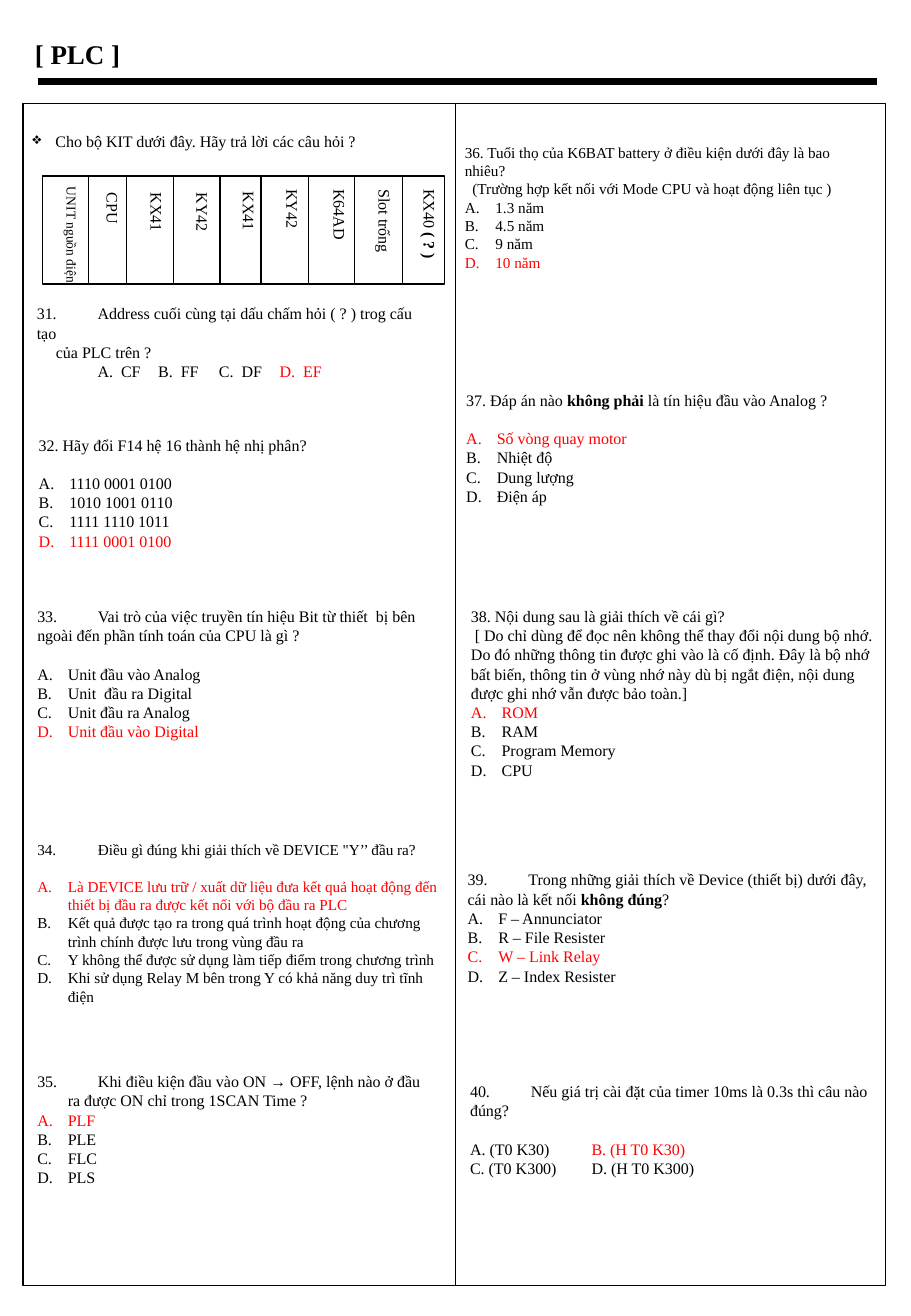
from lxml.etree import SubElement
from pptx import Presentation
from pptx.dml.color import RGBColor
from pptx.enum.shapes import MSO_CONNECTOR, MSO_SHAPE
from pptx.enum.text import MSO_AUTO_SIZE
from pptx.oxml.ns import qn
from pptx.util import Cm, Pt

BLACK, RED = "000000", "FF0000"
HANG = 0.64


def rgb(value):
    return RGBColor.from_string(value)


class ExamSheet:
    font = "Times New Roman"

    def __init__(self, slide):
        self.s = slide

    def line(self, x1, y1, x2, y2, width=0.75):
        c = self.s.shapes.add_connector(MSO_CONNECTOR.STRAIGHT, Cm(x1), Cm(y1), Cm(x2), Cm(y2))
        c.line.color.rgb = rgb(BLACK)
        c.line.width = Pt(width)
        SubElement(c._element.spPr, qn("a:effectLst"))

    def frame(self, x, y, w, h):
        sp = self.s.shapes.add_shape(MSO_SHAPE.RECTANGLE, Cm(x), Cm(y), Cm(w), Cm(h))
        sp.shadow.inherit = False
        sp.fill.background()
        sp.line.color.rgb = rgb(BLACK)
        sp.line.width = Pt(0.75)

    def box(self, x, y, w, h, vertical=False):
        tf = self.s.shapes.add_textbox(Cm(x), Cm(y), Cm(w), Cm(h)).text_frame
        tf.word_wrap = True
        if vertical:
            tf._txBody.bodyPr.set("vert", "vert")
        else:
            tf.auto_size = MSO_AUTO_SIZE.SHAPE_TO_FIT_TEXT
        return tf

    def paragraph(self, tf, text, size=9.5, color=BLACK, margin=0, first=0,
                  bullet=None, tabs=(), before=0):
        """Add a paragraph; ** switches bold and || switches red on and off."""
        p = tf.paragraphs[0]
        if p.runs:
            p = tf.add_paragraph()
        pPr = p._p.get_or_add_pPr()
        pPr.set("marL", str(Cm(margin)))
        pPr.set("indent", str(Cm(first)))
        if bullet == "A.":
            SubElement(pPr, qn("a:buAutoNum"), type="alphaUcPeriod")
        elif bullet:
            SubElement(pPr, qn("a:buChar"), char=bullet)
        if tabs:
            tab_list = SubElement(pPr, qn("a:tabLst"))
            for stop in tabs:
                SubElement(tab_list, qn("a:tab"), pos=str(Cm(stop)), algn="l")
        if before:
            p.space_before = Pt(before)
        for i, colored in enumerate(text.split("||")):
            for j, piece in enumerate(colored.split("**")):
                if piece:
                    r = p.add_run()
                    r.text = piece
                    r.font.name = self.font
                    r.font.size = Pt(size)
                    r.font.bold = j % 2 == 1
                    r.font.color.rgb = rgb(RED if i % 2 else color)

    def question(self, place, stem, options, answer, size=9.5, gap=0):
        """stem holds (text, first-line indent) pairs; gap is the space above option A."""
        tf = self.box(*place)
        for text, first in stem:
            self.paragraph(tf, text, size, first=first, tabs=[HANG])
        for letter, option in zip("ABCD", options):
            self.paragraph(tf, option, size, RED if letter == answer else BLACK,
                           HANG, -HANG, "A.", before=gap if letter == "A" else 0)

    def row_question(self, place, stem, rows, tabs, gap=0):
        """A question whose options stand side by side at tab stops."""
        tf = self.box(*place)
        for text, first in stem:
            self.paragraph(tf, text, first=first, tabs=[HANG])
        for i, row in enumerate(rows):
            self.paragraph(tf, row, tabs=tabs, before=0 if i else gap)

    def kit(self, x, y, w, h, dividers, units):
        self.frame(x, y, w, h)
        for divider in dividers:
            self.line(divider, y, divider, y + h)
        unit_width = 1.3
        for name, right, top, height, size in units:
            tf = self.box(right - unit_width, top, unit_width, height, vertical=True)
            self.paragraph(tf, name, size)


def main():
    prs = Presentation()
    prs.slide_width, prs.slide_height = Cm(19.05), Cm(27.51)
    sheet = ExamSheet(prs.slides.add_slide(prs.slide_layouts[6]))

    sheet.line(0.79, 1.7, 18.34, 1.7, 4.5)
    sheet.frame(0.48, 2.16, 9.04, 24.71)
    sheet.frame(9.52, 2.16, 9, 24.71)
    sheet.paragraph(sheet.box(0.48, 0.66, 2.51, 0.94), "**[ PLC ]**", 16)

    sheet.paragraph(sheet.box(0.43, 2.62, 8.69, 0.65),
                    "Cho bộ KIT dưới đây. Hãy trả lời các câu hỏi ?",
                    margin=0.48, first=-0.48, bullet="❖")
    sheet.kit(0.89, 3.68, 8.41, 2.26,
              [1.85, 2.64, 3.63, 4.6, 5.46, 6.45, 7.42, 8.41],
              [("UNIT nguồn điện", 1.8, 3.66, 2.95, 8),
               ("CPU", 2.69, 3.78, 2.2, 9.5),
               ("KX41", 3.61, 3.78, 2.2, 9.5),
               ("KY42", 4.57, 3.78, 2.2, 9.5),
               ("KX41", 5.54, 3.76, 2.2, 9.5),
               ("KY42", 6.45, 3.71, 2.2, 9.5),
               ("K64AD", 7.44, 3.71, 2.2, 9.5),
               ("Slot trống", 8.38, 3.71, 2.2, 9.5),
               ("KX40 **( ? )**", 9.32, 3.71, 2.2, 9.5)])

    sheet.row_question(
        (0.52, 6.23, 8.6, 1.46),
        [("31.\tAddress cuối cùng tại dấu chấm hỏi ( ? ) trog cấu tạo", 0),
         ("của PLC trên ?", 0.4)],
        ["\tA.  CF\tB.  FF\tC.  DF\t||D.  EF||"], [0.66, 2.3, 3.9, 5.56])
    sheet.question(
        (0.56, 8.97, 8.79, 2.69), [("32. Hãy đổi F14 hệ 16 thành hệ nhị phân?", 0)],
        ["1110 0001 0100", "1010 1001 0110", "1111 1110 1011", "1111 0001 0100"], "D", gap=11.4)
    sheet.question(
        (0.53, 12.55, 8.79, 3.51),
        [("33.\tVai trò của việc truyền tín hiệu Bit từ thiết  bị bên ngoài "
          "đến phần tính toán của CPU là gì ?", 0)],
        ["Unit đầu vào Analog", "Unit  đầu ra Digital", "Unit đầu ra Analog",
         "Unit đầu vào Digital"], "D", gap=11.4)
    sheet.question(
        (0.53, 17.45, 9.04, 3.71),
        [("34.\tĐiều gì đúng khi giải thích về DEVICE \"Y’’ đầu ra?", 0)],
        ["Là DEVICE lưu trữ / xuất dữ liệu đưa kết quả hoạt động đến "
         "thiết bị đầu ra được kết nối với bộ đầu ra PLC",
         "Kết quả được tạo ra trong quá trình hoạt động của chương "
         "trình chính được lưu trong vùng đầu ra",
         "Y không thể được sử dụng làm tiếp điểm trong chương trình",
         "Khi sử dụng Relay M bên trong Y có khả năng duy trì tĩnh điện"], "A", 9, 10.8)
    sheet.question(
        (0.53, 22.28, 8.69, 2.69),
        [("35.\tKhi điều kiện đầu vào ON → OFF, lệnh nào ở đầu", 0),
         ("ra được ON chỉ trong 1SCAN Time ?", HANG)],
        ["PLF", "PLE", "FLC", "PLS"], "A")
    sheet.question(
        (9.47, 2.87, 9.04, 2.57),
        [("36. Tuổi thọ của K6BAT battery ở điều kiện dưới đây là bao nhiêu?", 0),
         ("(Trường hợp kết nối với Mode CPU và hoạt động liên tục )", 0.16)],
        ["1.3 năm", "4.5 năm", "9 năm", "10 năm"], "D", 9)
    sheet.question(
        (9.5, 8.03, 9.04, 2.69),
        [("37. Đáp án nào **không phải **là tín hiệu đầu vào Analog ?", 0)],
        ["Số vòng quay motor", "Nhiệt độ", "Dung lượng", "Điện áp"], "A", gap=11.4)
    sheet.question(
        (9.6, 12.55, 8.92, 3.91),
        [("38. Nội dung sau là giải thích về cái gì?", 0),
         ("[ Do chỉ dùng để đọc nên không thể thay đổi nội dung bộ nhớ. "
          "Do đó những thông tin được ghi vào là cố định. Đây là bộ nhớ bất biến, "
          "thông tin ở vùng nhớ này dù bị ngắt điện, nội dung được ghi nhớ "
          "vẫn được bảo toàn.]", 0.08)],
        ["ROM", "RAM", "Program Memory", "CPU"], "A")
    sheet.question(
        (9.53, 18.06, 9.02, 2.69),
        [("39.\tTrong những giải thích về Device (thiết bị) dưới đây, cái nào là "
          "kết nối **không đúng**?", 0)],
        ["F – Annunciator", "R – File Resister", "W – Link Relay", "Z – Index Resister"], "C")
    sheet.row_question(
        (9.58, 22.48, 8.89, 2.29),
        [("40.\tNếu giá trị cài đặt của timer 10ms là 0.3s thì câu nào đúng?", 0)],
        ["A. (T0 K30)\t||B. (H T0 K30)||", "C. (T0 K300)\tD. (H T0 K300)"], [2.82], 11.4)

    prs.save("out.pptx")


if __name__ == "__main__":
    main()
